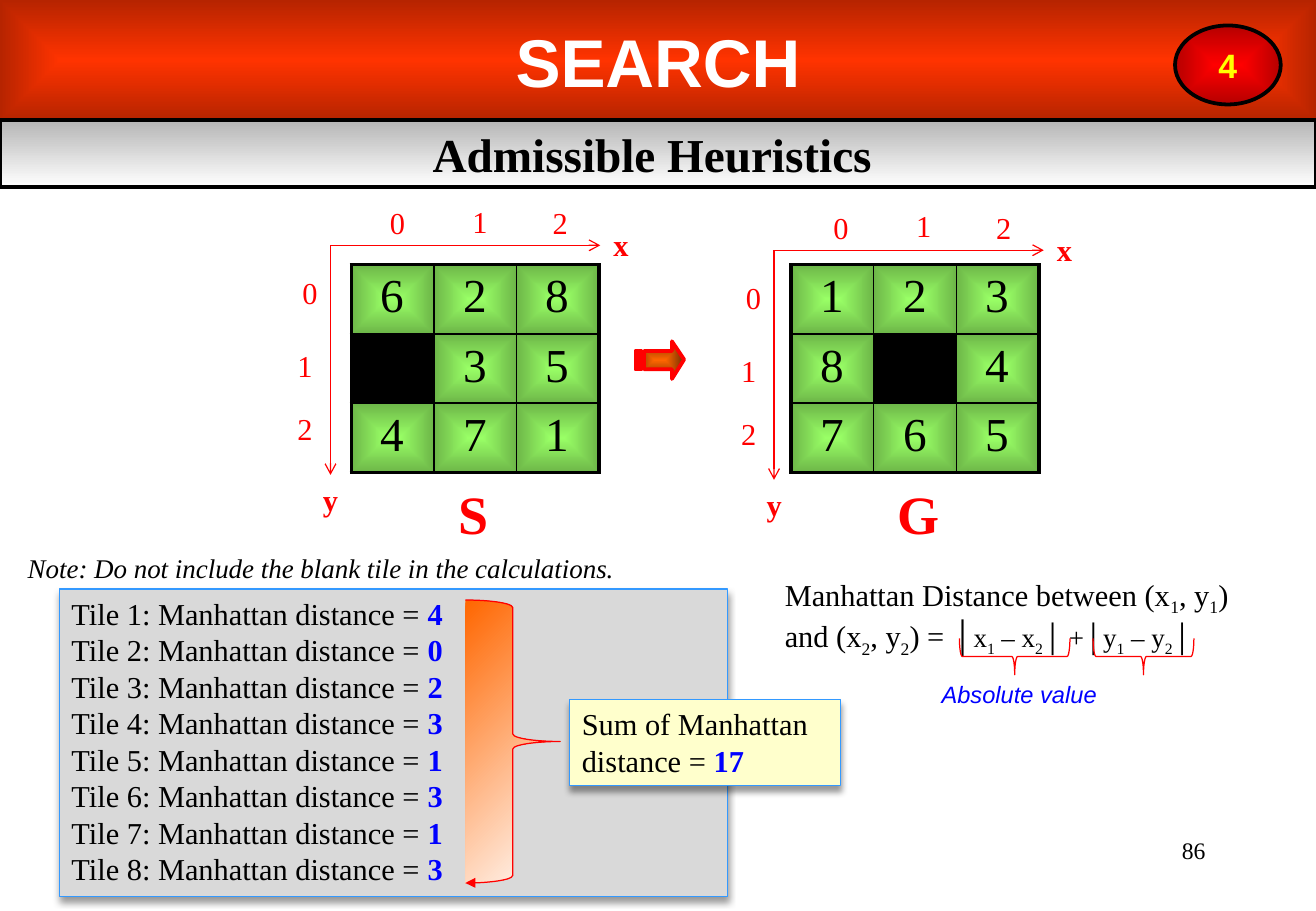
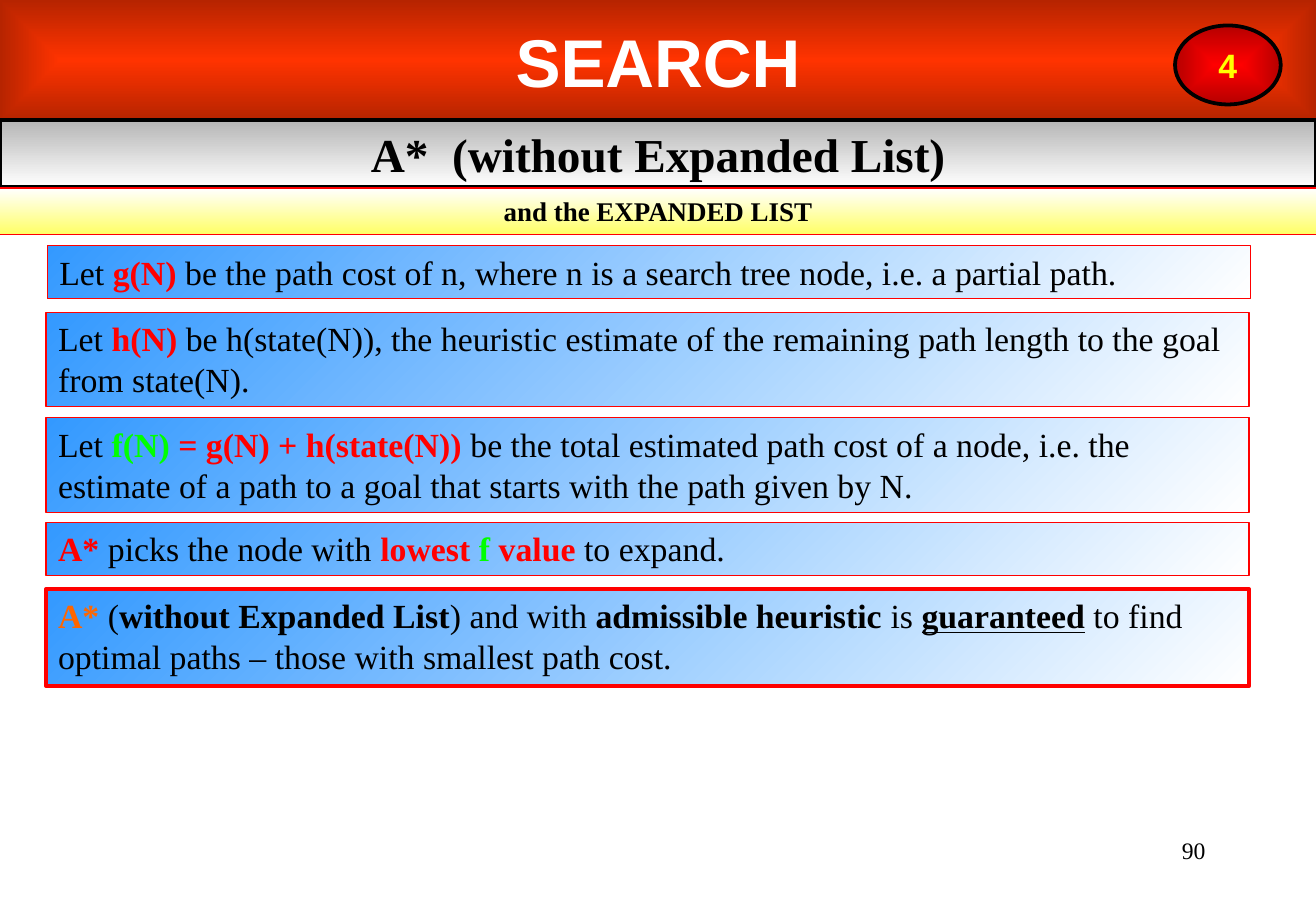
import pptx
import pptx.dml.color
import pptx.enum.shapes
import pptx.enum.text
import pptx.oxml
import pptx.oxml.ns
import pptx.util

Inches = pptx.util.Inches
Pt = pptx.util.Pt
RGBColor = pptx.dml.color.RGBColor
SHAPE = pptx.enum.shapes.MSO_SHAPE
ALIGN = pptx.enum.text.PP_ALIGN
ANCHOR = pptx.enum.text.MSO_ANCHOR
AUTO_SIZE = pptx.enum.text.MSO_AUTO_SIZE
qn = pptx.oxml.ns.qn

# Colours
BLACK = RGBColor(0x00, 0x00, 0x00)
WHITE = RGBColor(0xFF, 0xFF, 0xFF)
RED = RGBColor(0xFF, 0x00, 0x00)
BANNER_RED = RGBColor(0xFF, 0x33, 0x00)
YELLOW = RGBColor(0xFF, 0xFF, 0x00)
PALE_YELLOW = RGBColor(0xFF, 0xFF, 0xCC)
SOFT_YELLOW = RGBColor(0xFF, 0xFF, 0x66)
BLUE = RGBColor(0x00, 0x00, 0xFF)
SKY = RGBColor(0x33, 0x99, 0xFF)
GREEN = RGBColor(0x01, 0xFF, 0x01)
TILE_GREEN = RGBColor(0x99, 0xFF, 0x66)
ORANGE = RGBColor(0xFF, 0x66, 0x00)
BROWN = RGBColor(0x76, 0x2F, 0x00)
GREY = RGBColor(0xD9, 0xD9, 0xD9)

# Text formats
SERIF = {"name": "Times New Roman", "color": BLACK}
BODY = {**SERIF, "size": 18}
STATEMENT = {**SERIF, "size": 20}
SUBTITLE = {**SERIF, "size": 28, "bold": True}
AXIS = {**BODY, "color": RED}
BANNER = {"name": "Arial", "size": 40, "bold": True, "color": WHITE}
CHAPTER = {**BANNER, "size": 20, "color": YELLOW}
ANSWER = {"bold": True, "color": BLUE}
KEY = {"bold": True, "color": RED}
BOLD = {"bold": True}
SUB = {"baseline": -25000}


def xml(tag, body, attributes=""):
    return pptx.oxml.parse_xml(
        f'<a:{tag} xmlns:a="http://schemas.openxmlformats.org/drawingml/2006/main"'
        f' {attributes}>{body}</a:{tag}>')


def gradient(first, last, angle=None, shape="shape", shade_first=False, shade_last=False):
    """Linear when an angle is given, otherwise spreading from the centre."""
    stops = "".join(
        f'<a:gs pos="{place}"><a:srgbClr val="{color}">'
        + ('<a:shade val="46275"/>' if shaded else "") + "</a:srgbClr></a:gs>"
        for place, color, shaded in ((0, first, shade_first), (100000, last, shade_last)))
    if angle is None:
        run = (f'<a:path path="{shape}"><a:fillToRect l="50000" t="50000"'
               ' r="50000" b="50000"/></a:path>')
    else:
        run = f'<a:lin ang="{angle * 60000}" scaled="1"/>'
    return xml("gradFill", f"<a:gsLst>{stops}</a:gsLst>{run}", 'rotWithShape="1"')


def glow(color):
    return gradient(color, color, shade_last=True)


def paint(fill, properties, value):
    """Apply no fill, a solid colour or a gradient element."""
    if isinstance(value, RGBColor):
        fill.solid()
        fill.fore_color.rgb = value
        return
    fill.background()
    if value is not None:
        properties.replace(properties.find(qn("a:noFill")), value)


def write_spans(para, spans, style):
    for item in spans:
        words, changes = (item, {}) if isinstance(item, str) else item
        span = para.add_run()
        span.text = words
        for key, value in {**style, **changes}.items():
            if key == "color":
                span.font.color.rgb = value
            elif key == "baseline":
                span._r.get_or_add_rPr().set("baseline", str(value))
            else:
                setattr(span.font, key, Pt(value) if key == "size" else value)


def write(box, paragraphs, style, align=ALIGN.LEFT, anchor=ANCHOR.TOP, wrap=True):
    frame = box.text_frame
    settings = {"word_wrap": wrap, "vertical_anchor": anchor,
                "auto_size": AUTO_SIZE.SHAPE_TO_FIT_TEXT if anchor == ANCHOR.TOP
                else AUTO_SIZE.NONE}
    for key, value in settings.items():
        setattr(frame, key, value)
    for index, spans in enumerate(paragraphs):
        para = frame.add_paragraph() if index else frame.paragraphs[0]
        para.alignment = align
        write_spans(para, spans, style)


def finish(shape, fill=None, line=None, width=0.75):
    shape.shadow.inherit = False
    paint(shape.fill, shape._element.spPr, fill)
    if line is None:
        shape.line.fill.background()
    else:
        shape.line.color.rgb = line
        shape.line.width = Pt(width)
    return shape


def add_shape(page, kind, place, fill=None, line=None, width=0.75):
    shape = page.shapes.add_shape(kind, *map(Inches, place))
    return finish(shape, fill, line, width)


def add_label(page, place, words, style, align=ALIGN.LEFT, wrap=False):
    box = page.shapes.add_textbox(*map(Inches, place))
    write(box, [words if isinstance(words, list) else [words]], style, align, wrap=wrap)


def add_shadowed_box(page, place, fill, paragraphs):
    box = add_shape(page, SHAPE.RECTANGLE, place, fill, SKY)
    box._element.spPr.find(qn("a:effectLst")).append(xml(
        "outerShdw", f'<a:srgbClr val="{BLACK}"><a:alpha val="40000"/></a:srgbClr>',
        'blurRad="50800" dist="38100" dir="5400000" rotWithShape="0"'))
    write(box, paragraphs, BODY)


def add_brace(page, place, fill=None, rotation=0):
    brace = add_shape(page, SHAPE.RIGHT_BRACE, place, fill, RED)
    brace.adjustments[0] = 0.08
    brace.rotation = rotation
    return brace


def add_end(shape, kind):
    shape._element.spPr.find(qn("a:ln")).append(xml("tailEnd", "", f'type="{kind}"'))


def add_axes(page, left, top):
    for right, down in ((2.22, 0), (0, 1.89)):
        axis = page.shapes.add_connector(
            pptx.enum.shapes.MSO_CONNECTOR.STRAIGHT,
            *map(Inches, (left, top, left + right, top + down)))
        axis.line.color.rgb = RED
        axis.line.width = Pt(0.75)
        add_end(axis, "arrow")
        axis._element.spPr.append(xml("effectLst", ""))
    labels = [("x", 2.23, -0.21), ("y", -0.16, 1.89),
              ("0", 0.39, -0.39), ("1", 1.07, -0.4), ("2", 1.73, -0.39),
              ("0", -0.33, 0.19), ("1", -0.37, 0.79), ("2", -0.37, 1.31)]
    for name, right, down in labels:
        add_label(page, (left + right, top + down, 0.33, 0.4), name,
                  {**AXIS, "bold": name in "xy"})


def add_puzzle(page, left, rows):
    """Draw a grid of tiles; a space is the blank tile."""
    size = len(rows)
    table = page.shapes.add_table(size, size, *map(Inches, (left, 2.18, 2.04, 1.7))).table
    table.first_row = table.horz_banding = False
    for index in range(size):
        table.columns[index].width = Inches(0.68)
        table.rows[index].height = Inches(0.57)
    for row, numbers in enumerate(rows):
        for column, number in enumerate(numbers):
            cell = table.cell(row, column)
            properties = cell._tc.get_or_add_tcPr()
            blank = number == " "
            paint(cell.fill, properties, BLACK if blank else glow(TILE_GREEN))
            outer = (column == 0, column == size - 1, row == 0, row == size - 1)
            for index, (side, thick) in enumerate(zip("LRTB", outer)):
                properties.insert(index, xml(
                    f"ln{side}", f'<a:solidFill><a:srgbClr val="{BLACK}"/></a:solidFill>',
                    f'w="{int(Pt(2.25 if thick else 1))}"'))
            if not blank:
                para = cell.text_frame.paragraphs[0]
                para.alignment = ALIGN.CENTER
                write_spans(para, [number], {**SERIF, "size": 28})


def add_striped_arrow(page):
    # Outlines in hundredths of an inch
    head = [(553, 281), (553, 289), (530, 289), (530, 304), (553, 304), (553, 312), (563, 296)]
    stripes = [[(left, 289), (left, 304), (left + 2, 304), (left + 2, 289)]
               for left in (526, 523)]
    builder = page.shapes.build_freeform(*head[0], scale=Inches(0.01))
    builder.add_line_segments(head[1:], close=True)
    for stripe in stripes:
        builder.move_to(*stripe[0])
        builder.add_line_segments(stripe[1:], close=True)
    finish(builder.convert_to_shape(), gradient(ORANGE, BROWN, shape="rect"), RED, 2.25)


def add_page(deck, subtitle, number):
    """Start a slide with the shared number, banner, subtitle band and chapter badge."""
    page = deck.slides.add_slide(deck.slide_layouts[6])
    add_label(page, (7.76, 6.83, 2.26, 0.5), number, {**SERIF, "size": 14}, ALIGN.RIGHT, True)
    parts = [
        (SHAPE.RECTANGLE, (0, 0, 10.83, 0.99), glow(BANNER_RED), None, "SEARCH", BANNER),
        (SHAPE.RECTANGLE, (0, 0.99, 10.83, 0.55),
         gradient(WHITE, WHITE, 90, shade_first=True), BLACK, subtitle, SUBTITLE),
        (SHAPE.OVAL, (9.67, 0.21, 0.87, 0.65), glow(RED), BLACK, "4", CHAPTER)]
    for kind, place, fill, line, words, style in parts:
        shape = add_shape(page, kind, place, fill, line, 2.25)
        write(shape, [[words]], style, ALIGN.CENTER, ANCHOR.MIDDLE, kind != SHAPE.OVAL)
    return page


def build_heuristics(deck):
    page = add_page(deck, "Admissible Heuristics ", "86")

    # Start and goal puzzles
    add_puzzle(page, 2.89, ["628", " 35", "471"])
    add_puzzle(page, 6.51, ["123", "8 4", "765"])
    add_striped_arrow(page)
    for name, left, width in (("S", 3.67, 0.45), ("G", 7.28, 0.55)):
        add_label(page, (left, 3.91, width, 0.63), name,
                  {**AXIS, "size": 32, "bold": True}, ALIGN.CENTER)
    add_axes(page, 2.72, 2.02)
    add_axes(page, 6.37, 2.06)

    # Distances and their sum
    add_shadowed_box(page, (0.49, 4.85, 5.5, 2.53), GREY, [
        [f"Tile {tile}: Manhattan distance = ", (distance, ANSWER)]
        for tile, distance in enumerate("40231313", 1)])
    add_shadowed_box(page, (4.69, 5.76, 2.23, 0.71), PALE_YELLOW,
                     [["Sum of Manhattan distance = ", ("17", ANSWER)]])
    brace = add_brace(page, (3.83, 4.94, 0.78, 2.33), gradient(ORANGE, WHITE, 45))
    add_end(brace, "triangle")
    add_label(page, (0.13, 4.49, 5.1, 0.37),
              "Note: Do not include the blank tile in the calculations.",
              {**SERIF, "size": 16, "italic": True})

    # Formula
    small = {"size": 16}
    small_sub = {**SUB, **small}
    add_label(page, (6.36, 4.69, 4.21, 0.71), [
        "Manhattan Distance between (x", ("1", SUB), ", y", ("1", SUB),
        ") and (x", ("2", SUB), ", y", ("2", SUB), ") = │",
        ("x", small), ("1", small_sub), (" – x", small), ("2", small_sub),
        ("│ +│y", small), ("1", small_sub), (" – y", small), ("2", small_sub),
        ("│", small)], BODY, wrap=True)
    add_brace(page, (8.2, 4.95, 0.3, 0.91), rotation=90)
    add_brace(page, (9.26, 4.99, 0.3, 0.83), rotation=90)
    add_label(page, (7.65, 5.55, 1.49, 0.34), "Absolute value",
              {"name": "Arial", "size": 14, "italic": True, "color": BLUE})


def build_a_star(deck):
    page = add_page(deck, "A*  (without Expanded List)", "90")

    # Yellow band
    band = add_shape(page, SHAPE.RECTANGLE, (-0.02, 1.55, 10.87, 0.38),
                     gradient(WHITE, SOFT_YELLOW, 90), RED, 1)
    write(band, [["and the EXPANDED LIST"]], {**SUBTITLE, "size": 16}, ALIGN.CENTER)

    # Statements: left, top, height, line width, text
    bright = {"bold": True, "color": GREEN}
    statements = [
        (0.39, 2.02, 0.44, 0.75, [
            "Let ", ("g(N)", KEY),
            " be the path cost of n, where n is a search tree node, i.e. a partial path."]),
        (0.38, 2.57, 0.78, 0.75, [
            "Let ", ("h(N)", KEY), " be h(state(N)), the heuristic estimate of the "
            "remaining path length to the goal from state(N)."]),
        (0.38, 3.44, 0.78, 0.75, [
            "Let ", ("f(N) ", bright), ("= g(N) + h(state(N)) ", KEY),
            "be the total estimated path cost of a node, i.e. the estimate of a path "
            "to a goal that starts with the path given by N."]),
        (0.38, 4.3, 0.44, 0.75, [
            ("A* ", KEY), "picks the node with ", ("lowest ", KEY), ("f", bright),
            (" value ", KEY), "to expand."]),
        (0.38, 4.85, 0.8, 2.25, [
            ("A* ", {"bold": True, "color": ORANGE}), "(", ("without Expanded List", BOLD),
            ") and with ", ("admissible heuristic ", BOLD), "is ",
            ("guaranteed", {"bold": True, "underline": True}),
            " to find optimal paths – those with smallest path cost."])]
    for left, top, height, width, spans in statements:
        box = add_shape(page, SHAPE.RECTANGLE, (left, top, 9.9, height),
                        gradient(SKY, WHITE, 45), RED, width)
        write(box, [spans], STATEMENT)


def main():
    deck = pptx.Presentation()
    deck.slide_width, deck.slide_height = Inches(10.83), Inches(7.5)
    build_heuristics(deck)
    build_a_star(deck)
    deck.save("out.pptx")


if __name__ == "__main__":
    main()
